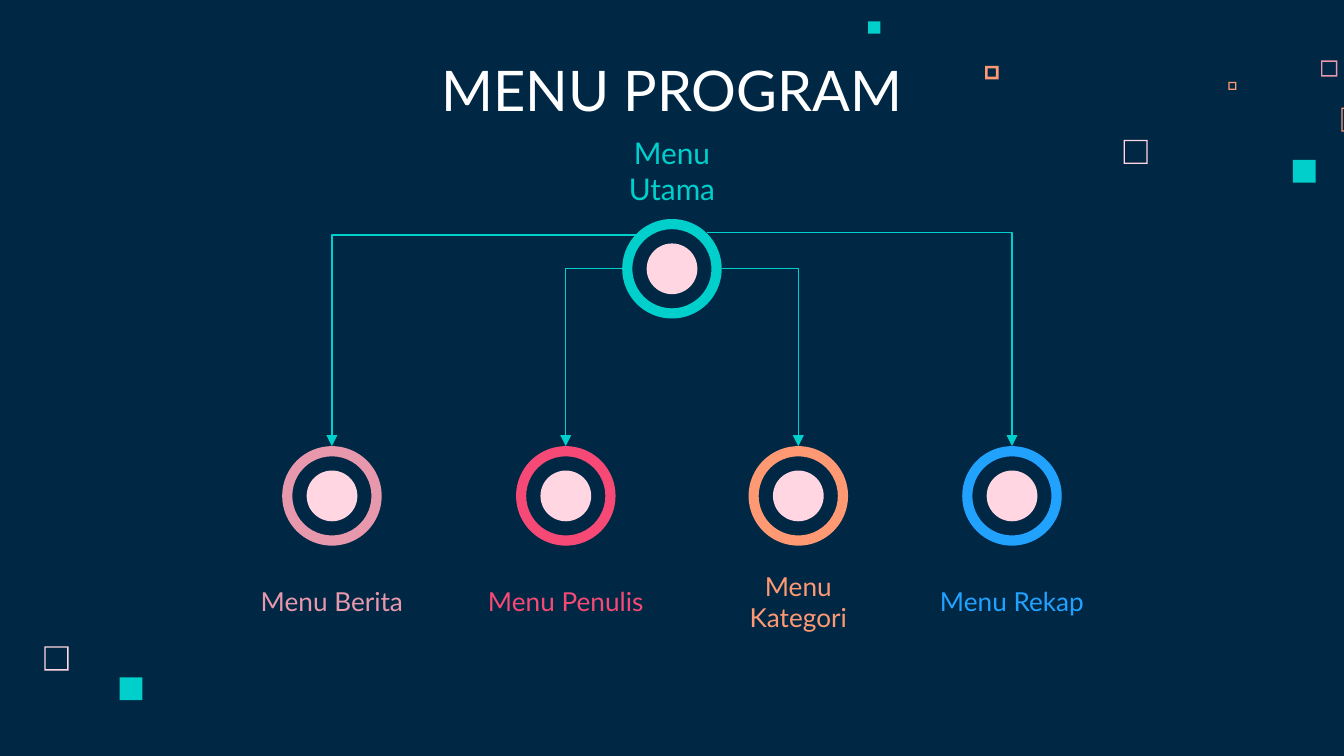
from lxml import etree
from pptx import Presentation
from pptx.dml.color import RGBColor
from pptx.enum.shapes import MSO_CONNECTOR, MSO_SHAPE
from pptx.enum.text import MSO_ANCHOR, MSO_AUTO_SIZE, PP_ALIGN
from pptx.oxml.ns import qn
from pptx.util import Inches, Pt

ELBOW = MSO_CONNECTOR.ELBOW
OVAL, DONUT = MSO_SHAPE.OVAL, MSO_SHAPE.DONUT
FRAME, SQUARE = MSO_SHAPE.FRAME, MSO_SHAPE.RECTANGLE
CENTER = PP_ALIGN.CENTER
MIDDLE, BOTTOM = MSO_ANCHOR.MIDDLE, MSO_ANCHOR.BOTTOM
NO_AUTOFIT = MSO_AUTO_SIZE.NONE

WIDTH = 10
HEIGHT = WIDTH * 9 / 16
NAVY, WHITE, BLUSH = "002845", "FFFFFF", "FFD6E1"
TEAL, ROSE, PINK, ORANGE, BLUE = "00CFCC", "E898AC", "F64975", "FF9973", "22A2FF"
FONT = "Lato"

RING = 0.74  # ring diameter; parts of a node are shares of it
ROOT_CENTER = (WIDTH / 2, 2)
CHILD_CENTER_Y = 3.69
# text, centre x, colour, where the arrow leaves the root (from its centre)
CHILDREN = [
    ("Menu Berita", 2.47, ROSE, (-0.26, -0.25)),
    ("Menu Penulis", 4.21, PINK, (-RING / 2, 0)),
    ("Menu Kategori", 5.94, ORANGE, (RING / 2, 0)),
    ("Menu Rekap", 7.53, BLUE, (0.26, -0.27)),
]

# left, top, side, colour, border (None for a solid square)
SQUARES = [
    (8.36, 1.04, 0.18, BLUSH, 0.01),
    (9.83, 0.45, 0.12, ROSE, 0.01),
    (9.14, 0.61, 0.06, ORANGE, 0.01),
    (9.98, 0.80, 0.18, ORANGE, 0.01),
    (9.62, 1.19, 0.17, TEAL, None),
    (7.33, 0.49, 0.10, ORANGE, 0.02),
    (6.46, 0.16, 0.09, TEAL, None),
    (0.33, 4.81, 0.18, BLUSH, 0.01),
    (0.89, 5.04, 0.17, TEAL, None),
]


def color(value):
    return RGBColor.from_string(value)


def inches(*lengths):
    return [Inches(length) for length in lengths]


def write_text(shape, text, *, size, fill, anchor=MIDDLE):
    frame = shape.text_frame
    frame.word_wrap = True
    frame.auto_size = NO_AUTOFIT
    frame.vertical_anchor = anchor
    frame.margin_left = frame.margin_right = Inches(0.1)
    frame.margin_top = frame.margin_bottom = Inches(0.1)
    paragraph = frame.paragraphs[0]
    paragraph.alignment = CENTER
    paragraph.line_spacing = 1
    run = paragraph.add_run()
    run.text = text
    run.font.name = FONT
    run.font.size = Pt(size)
    run.font.color.rgb = color(fill)


def add_filled(slide, kind, box, fill, adjustment=None):
    shape = slide.shapes.add_shape(kind, *inches(*box))
    shape.shadow.inherit = False
    shape.fill.solid()
    shape.fill.fore_color.rgb = color(fill)
    shape.line.fill.background()
    if adjustment is not None:
        shape.adjustments[0] = adjustment


def add_decoration(slide):
    for left, top, side, fill, border in SQUARES:
        box = (left, top, side, side)
        if border:
            add_filled(slide, FRAME, box, fill, border / side)
        else:
            add_filled(slide, SQUARE, box, fill)


def add_title(slide, box):
    title = slide.shapes.title
    title.left, title.top, title.width, title.height = inches(*box)
    write_text(title, "MENU PROGRAM", size=30, fill=WHITE, anchor=BOTTOM)


def add_node(slide, center, text, fill, *, size, label_shift):
    """Draw a ring with a core; label_shift moves the label's centre, in rings."""
    x, y = center

    def centered(width, height, shift=0):
        width, height = width * RING, height * RING
        return x - width / 2, y + shift * RING - height / 2, width, height

    add_filled(slide, OVAL, centered(0.51, 0.51), BLUSH)
    add_filled(slide, DONUT, centered(1, 1), fill, 0.102)
    label = slide.shapes.add_textbox(*inches(*centered(1.91, 0.64, label_shift)))
    write_text(label, text, size=size, fill=fill)


def add_elbow_arrow(slide, start, end):
    """Run level from start, then straight down to an arrowhead at end."""
    connector = slide.shapes.add_connector(ELBOW, *inches(*start, *end))
    connector.line.color.rgb = color(TEAL)
    connector.line.width = Pt(0.75)
    properties = connector._element.spPr
    properties.find(qn("a:prstGeom")).set("prst", "bentConnector2")
    line = properties.find(qn("a:ln"))
    etree.SubElement(line, qn("a:tailEnd"), type="triangle")
    etree.SubElement(properties, qn("a:effectLst"))


def add_menu_tree(slide):
    root_x, root_y = ROOT_CENTER
    add_node(slide, ROOT_CENTER, "Menu Utama", TEAL, size=16, label_shift=-0.99)
    for text, x, fill, (across, down) in CHILDREN:
        add_node(slide, (x, CHILD_CENTER_Y), text, fill, size=14, label_shift=1.06)
        start = (root_x + across, root_y + down)
        add_elbow_arrow(slide, start, (x, CHILD_CENTER_Y - RING / 2))


def main():
    presentation = Presentation()
    presentation.slide_width, presentation.slide_height = inches(WIDTH, HEIGHT)
    slide = presentation.slides.add_slide(presentation.slide_layouts[5])
    slide.background.fill.solid()
    slide.background.fill.fore_color.rgb = color(NAVY)
    add_decoration(slide)
    add_title(slide, (1.78, 0.38, 6.44, 0.63))
    add_menu_tree(slide)
    presentation.save("out.pptx")


if __name__ == "__main__":
    main()
